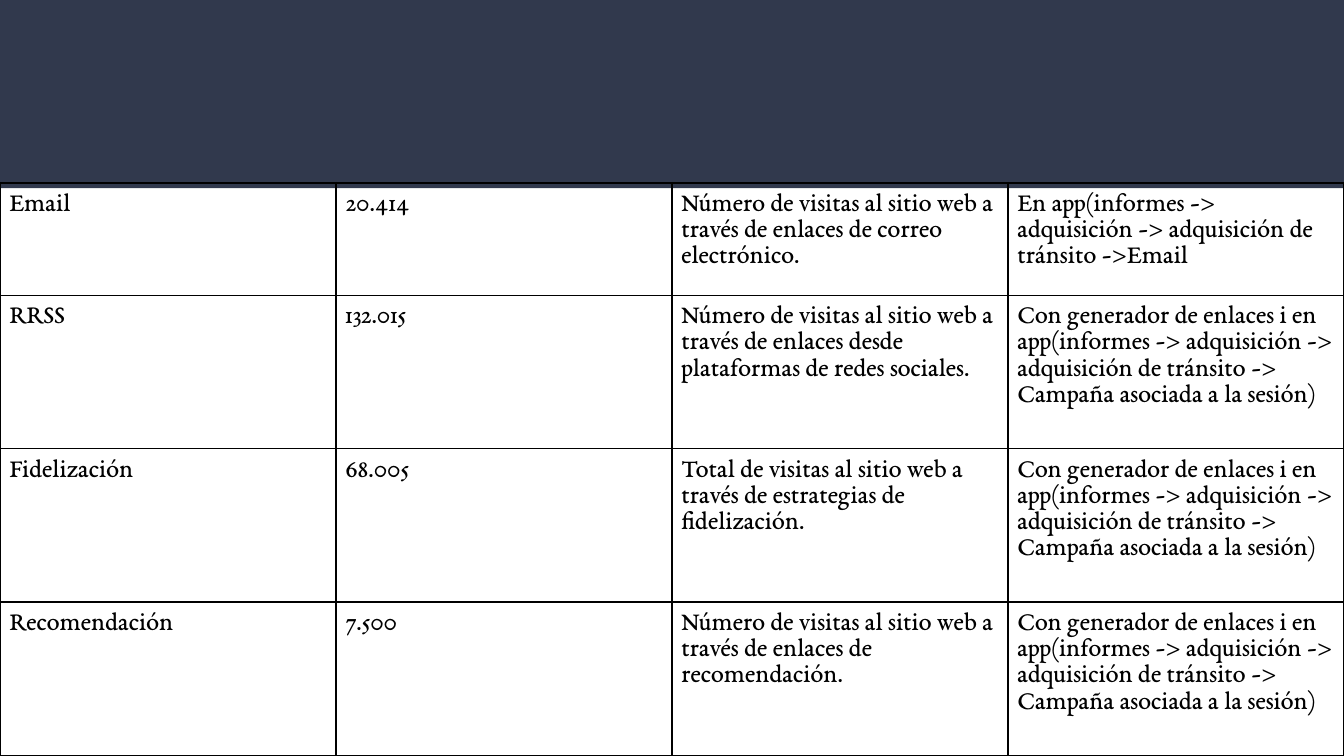
from typing import NamedTuple

from lxml.etree import SubElement
from pptx import Presentation
from pptx.dml.color import RGBColor
from pptx.enum.shapes import MSO_SHAPE
from pptx.oxml.ns import qn
from pptx.util import Pt

COLORS = {"band": "31394D", "ink": "000000"}
FONT = "EB Garamond"
SLIDE_WIDTH, SLIDE_HEIGHT = 720, 405
BAND_HEIGHT = 100.8
TABLE_TOP = 97.9
CELL_INSET = 5
CAMPAIGN_SOURCE = (
    "Con generador de enlaces i en app(informes -> adquisición -> "
    "adquisición de tránsito -> Campaña asociada a la sesión)"
)


class Channel(NamedTuple):
    name: str
    visits: str
    meaning: str
    source: str = CAMPAIGN_SOURCE
    height: float = 82.2


CHANNELS = [
    Channel(
        "Email",
        "20.414",
        "Número de visitas al sitio web a través de enlaces de correo electrónico.",
        "En app(informes -> adquisición -> adquisición de tránsito ->Email",
        60.3,
    ),
    Channel(
        "RRSS",
        "132.015",
        "Número de visitas al sitio web a través de enlaces desde plataformas de redes sociales.",
    ),
    Channel(
        "Fidelización",
        "68.005",
        "Total de visitas al sitio web a través de estrategias de fidelización.",
    ),
    Channel(
        "Recomendación",
        "7.500",
        "Número de visitas al sitio web a través de enlaces de recomendación.",
    ),
]


def draw_band(slide) -> None:
    band = slide.shapes.add_shape(
        MSO_SHAPE.RECTANGLE, Pt(0), Pt(0), Pt(SLIDE_WIDTH), Pt(BAND_HEIGHT)
    )
    band.shadow.inherit = False
    band.fill.solid()
    band.fill.fore_color.rgb = RGBColor.from_string(COLORS["band"])
    band.line.fill.background()


def add_borders(cell) -> None:
    properties = cell._tc.get_or_add_tcPr()
    for side in ("a:lnL", "a:lnR", "a:lnT", "a:lnB"):
        border = SubElement(properties, qn(side), w=str(Pt(1)))
        fill = SubElement(border, qn("a:solidFill"))
        SubElement(fill, qn("a:srgbClr"), val=COLORS["ink"])


def write_cell(cell, text: str) -> None:
    cell.text = text
    cell.margin_left = cell.margin_right = Pt(CELL_INSET)
    cell.margin_top = cell.margin_bottom = Pt(CELL_INSET)
    add_borders(cell)
    cell.fill.background()
    font = cell.text_frame.paragraphs[0].font
    font.name = FONT
    font.size = Pt(14)
    font.bold = False
    font.color.rgb = RGBColor.from_string(COLORS["ink"])


def draw_channels(slide, channels: list[Channel]) -> None:
    total_height = sum(channel.height for channel in channels)
    table = slide.shapes.add_table(
        len(channels), 4, Pt(0), Pt(TABLE_TOP), Pt(SLIDE_WIDTH), Pt(total_height)
    ).table
    table.first_row = False
    table.horz_banding = False
    for row, channel in zip(table.rows, channels):
        row.height = Pt(channel.height)
        texts = (channel.name, channel.visits, channel.meaning, channel.source)
        for cell, text in zip(row.cells, texts):
            write_cell(cell, text)


def main() -> None:
    """Build the slide of web visits by channel."""
    presentation = Presentation()
    presentation.slide_width = Pt(SLIDE_WIDTH)
    presentation.slide_height = Pt(SLIDE_HEIGHT)
    slide = presentation.slides.add_slide(presentation.slide_layouts[6])
    draw_band(slide)
    draw_channels(slide, CHANNELS)
    presentation.save("out.pptx")


if __name__ == "__main__":
    main()
